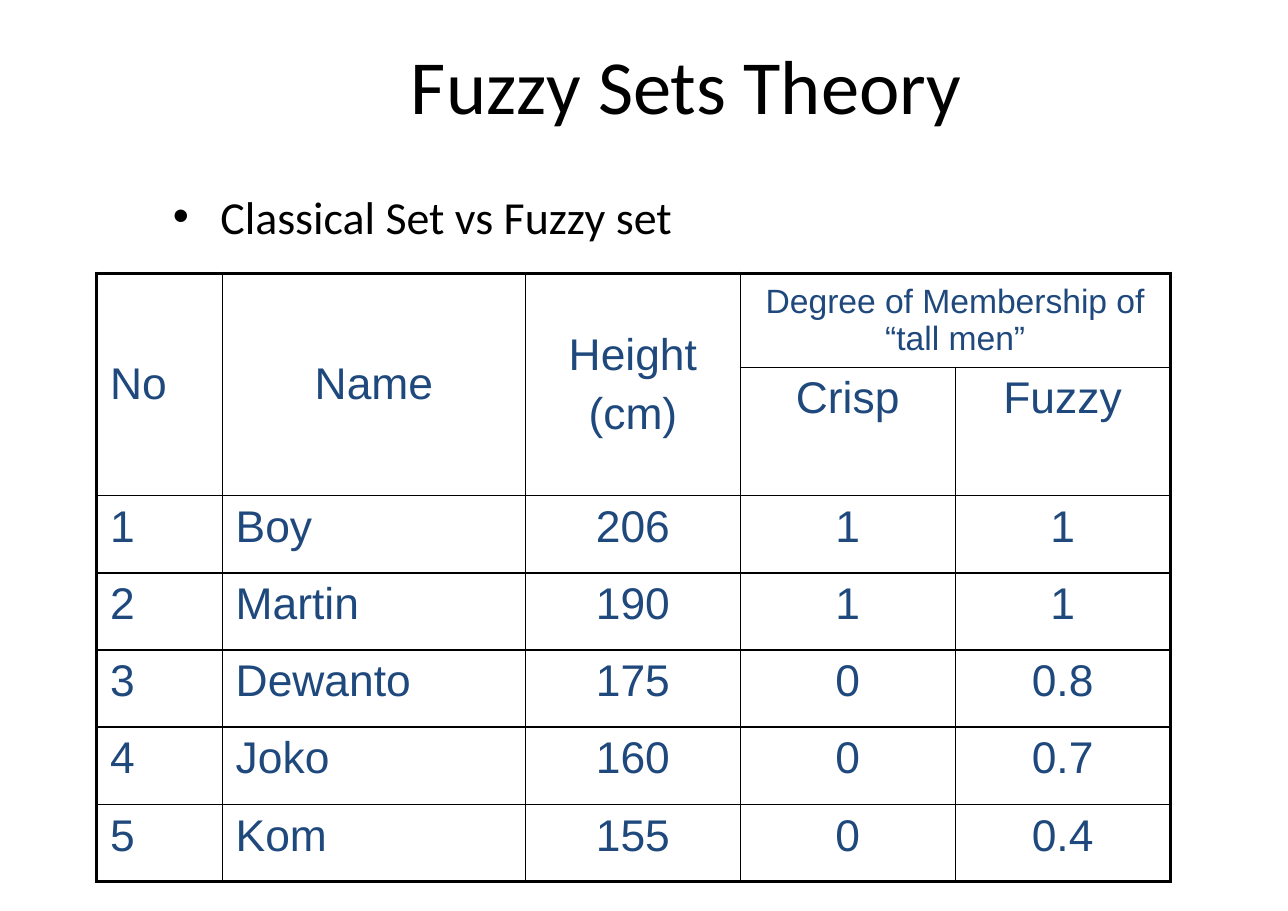
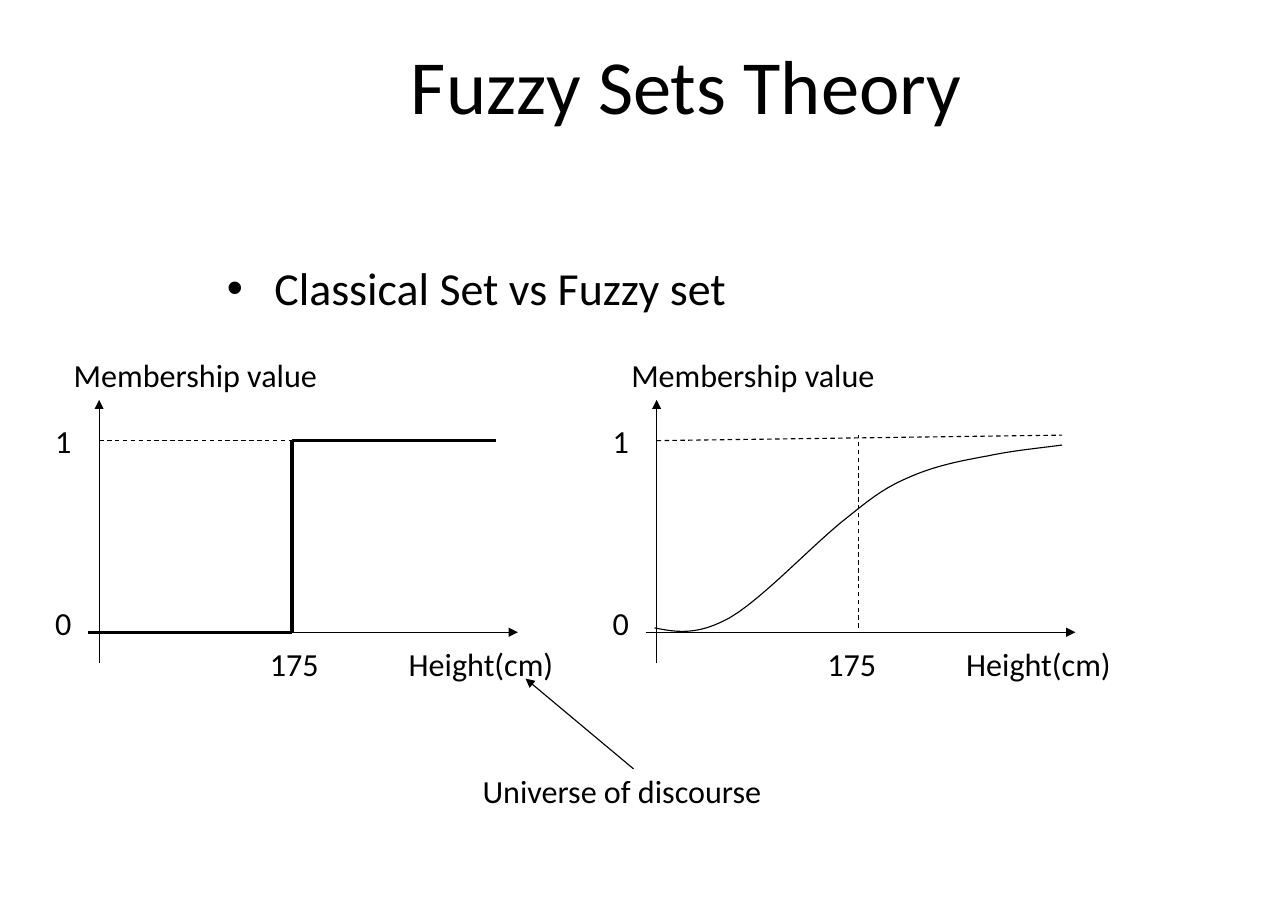
from lxml.etree import SubElement
from pptx import Presentation
from pptx.dml.color import RGBColor
from pptx.enum.dml import MSO_LINE
from pptx.enum.shapes import MSO_CONNECTOR
from pptx.enum.text import MSO_ANCHOR, MSO_AUTO_SIZE, PP_ALIGN
from pptx.oxml.ns import qn
from pptx.util import Pt

EMU_PER_PX = 9144  # 100 px to the inch
SLIDE_SIZE = (1169, 827)
TITLE_ONLY = 5
TITLE_BOX = (175, 0, 896, 152)
BLACK, NAVY = "000000", "1F497D"
BODY_FONT, TABLE_FONT = "Calibri", "Arial"
THIN, THICK = 0.75, 2.25
CELL_BORDER = 1
CURVE_STEPS = 12

STRAIGHT = MSO_CONNECTOR.STRAIGHT
DASH = MSO_LINE.DASH
MIDDLE, TOP = MSO_ANCHOR.MIDDLE, MSO_ANCHOR.TOP
LEFT, CENTER = PP_ALIGN.LEFT, PP_ALIGN.CENTER
FIXED, FIT_SHAPE = MSO_AUTO_SIZE.NONE, MSO_AUTO_SIZE.SHAPE_TO_FIT_TEXT

COLUMN_WIDTHS = [114, 275, 195, 195, 195]
ROW_HEIGHTS = [85] + [70] * 6
TABLE_ROWS = [
    ["No", "Name", "Height\n(cm)", "Degree of Membership of “tall men”", ""],
    ["", "", "", "Crisp", "Fuzzy"],
    ["1", "Boy", "206", "1", "1"],
    ["2", "Martin", "190", "1", "1"],
    ["3", "Dewanto", "175", "0", "0.8"],
    ["4", "Joko", "160", "0", "0.7"],
    ["5", "Kom", "155", "0", "0.4"],
]
MERGES = [(0, 0, 1, 0), (0, 1, 1, 1), (0, 2, 1, 2), (0, 3, 0, 4)]

CURVE_START = (594, 570)
CURVE_SEGMENTS = [
    ((614, 574), (633, 577), (662, 561)),
    ((692, 544), (742, 490), (770, 469)),
    ((797, 447), (807, 441), (828, 432)),
    ((849, 423), (873, 418), (896, 414)),
    ((919, 409), (942, 407), (964, 404)),
]


def px(length):
    return round(length * EMU_PER_PX)


def color(hex_string):
    return RGBColor.from_string(hex_string)


def format_runs(paragraph, size, font_name, hex_string):
    for run in paragraph.runs:
        run.font.size = Pt(size)
        run.font.name = font_name
        run.font.color.rgb = color(hex_string)


def set_insets(frame, side=11, edge=6):
    """Set the margins of a text frame or a table cell."""
    frame.margin_left = frame.margin_right = px(side)
    frame.margin_top = frame.margin_bottom = px(edge)


def add_space_before(paragraph):
    """Put a fifth of a line before the paragraph."""
    properties = paragraph._p.get_or_add_pPr()
    spacing = SubElement(properties, qn("a:spcBef"))
    SubElement(spacing, qn("a:spcPct")).set("val", "20000")
    return properties


def add_title_slide(presentation, title):
    slide = presentation.slides.add_slide(presentation.slide_layouts[TITLE_ONLY])
    shape = slide.shapes.title
    shape.left, shape.top, shape.width, shape.height = map(px, TITLE_BOX)
    frame = shape.text_frame
    frame.text = title
    frame.auto_size = FIXED
    frame.vertical_anchor = MIDDLE
    set_insets(frame)
    frame.paragraphs[0].alignment = CENTER
    format_runs(frame.paragraphs[0], 50, BODY_FONT, BLACK)
    return slide


def add_text(slide, text, left, top, width, height, size):
    frame = slide.shapes.add_textbox(*map(px, (left, top, width, height))).text_frame
    frame.text = text
    set_insets(frame)
    format_runs(frame.paragraphs[0], size, BODY_FONT, BLACK)
    return frame


def add_bullet(slide, text, left, top):
    frame = add_text(slide, text, left, top, 838, 83, 30)
    frame.word_wrap = True
    properties = add_space_before(frame.paragraphs[0])
    properties.set("marL", str(px(43)))
    properties.set("indent", str(px(-43)))
    SubElement(properties, qn("a:buFont")).set("typeface", "Arial")
    SubElement(properties, qn("a:buChar")).set("char", "•")


def add_label(slide, text, left, top, width):
    frame = add_text(slide, text, left, top, width, 47, 21)
    frame.word_wrap = False
    frame.auto_size = FIT_SHAPE


def add_line(slide, start, end, width=THIN, dash=None, arrow=False):
    connector = slide.shapes.add_connector(STRAIGHT, *map(px, start + end))
    connector.line.color.rgb = color(BLACK)
    connector.line.width = Pt(width)
    if dash is not None:
        connector.line.dash_style = dash
    properties = connector.element.spPr
    if arrow:
        SubElement(properties.find(qn("a:ln")), qn("a:tailEnd")).set("type", "triangle")
    SubElement(properties, qn("a:effectLst"))


def bezier_points(start, first, second, end):
    """Points along a cubic curve, without its start."""
    for step in range(1, CURVE_STEPS + 1):
        t = step / CURVE_STEPS
        weights = ((1 - t) ** 3, 3 * t * (1 - t) ** 2, 3 * t ** 2 * (1 - t), t ** 3)
        yield tuple(
            px(sum(weight * value for weight, value in zip(weights, values)))
            for values in zip(start, first, second, end)
        )


def add_curve(slide, start, segments):
    builder = slide.shapes.build_freeform(*map(px, start))
    for segment in segments:
        builder.add_line_segments(bezier_points(start, *segment), close=False)
        start = segment[-1]
    curve = builder.convert_to_shape()
    curve.shadow.inherit = False
    curve.fill.background()
    curve.line.color.rgb = color(BLACK)
    curve.line.width = Pt(THIN)


def add_borders(cell, row, column):
    """Draw thick lines on the outside of the table and thin ones inside."""
    outer_sides = {
        "L": column == 0,
        "R": column + cell.span_width == len(COLUMN_WIDTHS),
        "T": row == 0,
        "B": row + cell.span_height == len(ROW_HEIGHTS),
    }
    properties = cell._tc.get_or_add_tcPr()
    for side, is_outer in outer_sides.items():
        line = SubElement(properties, qn(f"a:ln{side}"))
        line.set("w", str(Pt(THICK if is_outer else CELL_BORDER)))
        fill = SubElement(line, qn("a:solidFill"))
        SubElement(fill, qn("a:srgbClr")).set("val", BLACK)


def format_cell(cell, text, row, column):
    add_borders(cell, row, column)
    cell.fill.background()
    set_insets(cell, side=12)
    cell.vertical_anchor = MIDDLE if row == 0 else TOP
    if cell.is_spanned:
        return
    cell.text_frame.text = text
    is_centered = column > 1 or (row == 0 and column == 1)
    for paragraph in cell.text_frame.paragraphs:
        paragraph.alignment = CENTER if is_centered else LEFT
        add_space_before(paragraph)
        format_runs(paragraph, 22 if cell.span_width > 1 else 29, TABLE_FONT, NAVY)


def add_membership_table(slide, left, top):
    box = (left, top, sum(COLUMN_WIDTHS), sum(ROW_HEIGHTS))
    table = slide.shapes.add_table(
        len(ROW_HEIGHTS), len(COLUMN_WIDTHS), *map(px, box)
    ).table
    table.first_row = table.horz_banding = False
    for column, width in zip(table.columns, COLUMN_WIDTHS):
        column.width = px(width)
    for row, height in zip(table.rows, ROW_HEIGHTS):
        row.height = px(height)
    for first_row, first_column, last_row, last_column in MERGES:
        table.cell(first_row, first_column).merge(table.cell(last_row, last_column))
    for row, texts in enumerate(TABLE_ROWS):
        for column, text in enumerate(texts):
            format_cell(table.cell(row, column), text, row, column)


def add_axes(slide, axis_x):
    """Draw both arrows of a membership plot and label them."""
    add_line(slide, (axis_x - 10, 574), (axis_x + 380, 574), arrow=True)
    add_line(slide, (axis_x, 602), (axis_x, 363), arrow=True)
    add_label(slide, "Membership value", axis_x - 34, 317, 246)
    add_label(slide, "1", axis_x - 51, 377, 38)
    add_label(slide, "0", axis_x - 51, 542, 38)
    add_label(slide, "175", axis_x + 144, 579, 68)
    add_label(slide, "Height(cm)", axis_x + 270, 579, 156)


def add_crisp_plot(slide):
    add_axes(slide, 90)
    steps = [(80, 574), (265, 574), (265, 400), (450, 400)]
    for start, end in zip(steps, steps[1:]):
        add_line(slide, start, end, THICK)
    add_line(slide, (90, 400), (265, 400), dash=DASH)


def add_fuzzy_plot(slide):
    add_axes(slide, 596)
    add_line(slide, (596, 400), (964, 395), dash=DASH)
    add_curve(slide, CURVE_START, CURVE_SEGMENTS)
    add_line(slide, (779, 570), (779, 395), dash=DASH)


def main():
    presentation = Presentation()
    presentation.slide_width, presentation.slide_height = map(px, SLIDE_SIZE)
    title, topic = "Fuzzy Sets Theory", "Classical Set vs Fuzzy set"

    table_slide = add_title_slide(presentation, title)
    add_bullet(table_slide, topic, 146, 165)
    add_membership_table(table_slide, 88, 248)

    plot_slide = add_title_slide(presentation, title)
    add_bullet(plot_slide, topic, 195, 230)
    add_crisp_plot(plot_slide)
    add_fuzzy_plot(plot_slide)
    add_label(plot_slide, "Universe of discourse", 427, 694, 279)
    add_line(plot_slide, (575, 698), (477, 616), arrow=True)

    presentation.save("out.pptx")


if __name__ == "__main__":
    main()
